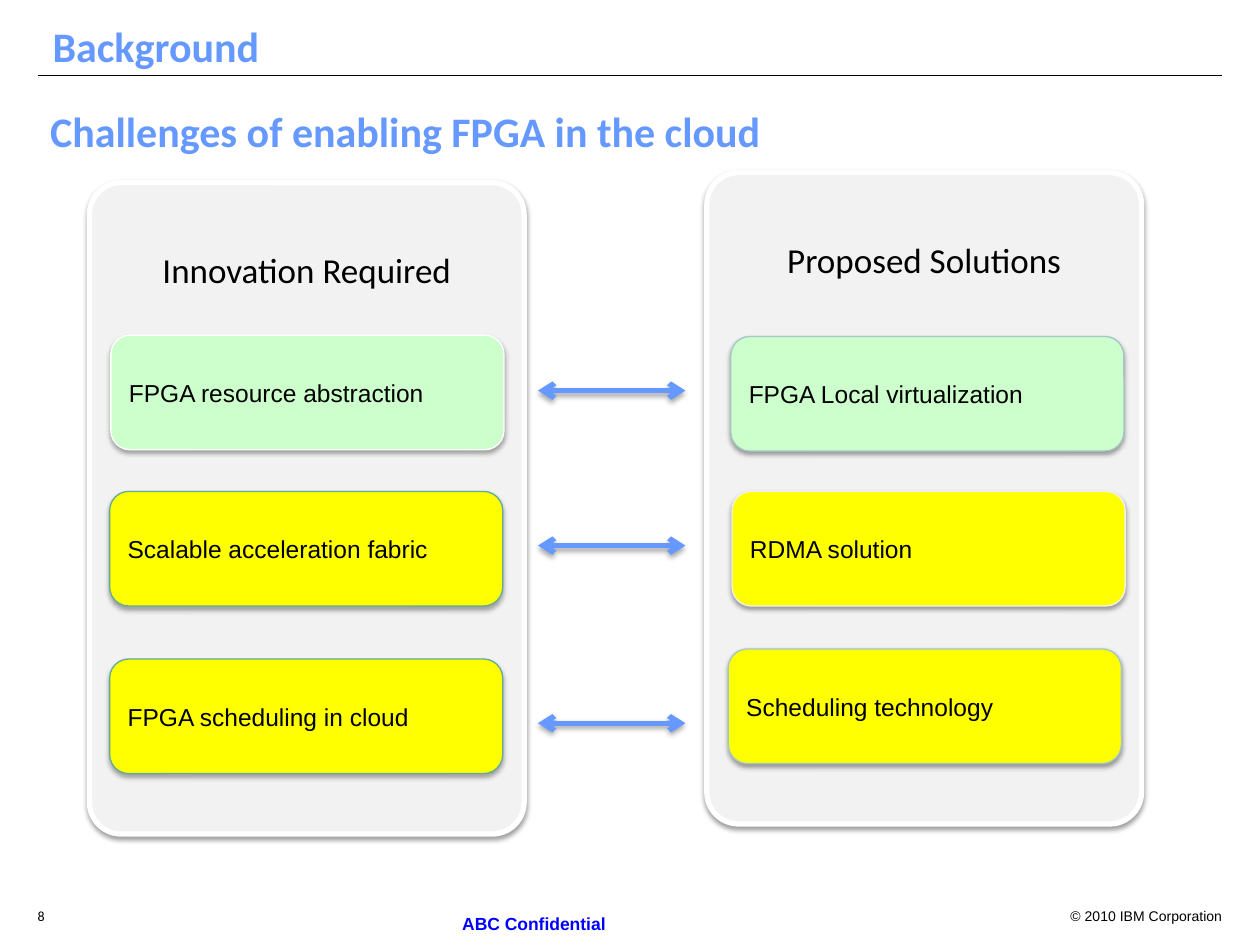
"""Build a slide pairing required innovations with proposed solutions."""
from dataclasses import dataclass

from lxml import etree
from pptx import Presentation
from pptx import util as u
from pptx.dml.color import RGBColor
from pptx.enum import shapes, text
from pptx.oxml.ns import qn


@dataclass(frozen=True)
class Theme:
    """Colours, fonts and type sizes of the slide."""
    accent: str = "6699FF"
    ink: str = "000000"
    notice: str = "0000FF"
    panel: str = "F2F2F2"
    white: str = "FFFFFF"
    green: str = "CCFFCC"
    yellow: str = "FFFF00"
    teal: str = "62AB94"
    pale_teal: str = "A5C6C6"
    heading_font: str = "Calibri"
    body_font: str = "Arial"
    title_size: float = 24
    panel_size: float = 20
    body_size: float = 14
    notice_size: float = 10
    footer_size: float = 8


THEME = Theme()
COLUMNS, ROWS = 100, 75
CELL = u.Inches(0.1)
CARD_WIDTH, CARD_HEIGHT = 31.2, 9.1
PANEL_WIDTH, PANEL_HEIGHT = 34.5, 51.7
SOFT_SHADOW = (38, 1.6)
DEEP_SHADOW = (35, 1.8)


def cells(*counts):
    """Turn grid counts into lengths."""
    return [round(count * CELL) for count in counts]


def colour(value):
    """Turn a hex string into a colour."""
    return RGBColor.from_string(value)


def write(frame, words, size, font, ink, bold=False, align=text.PP_ALIGN.LEFT, spacing=None):
    """Put one styled run into the first paragraph of a frame."""
    paragraph = frame.paragraphs[0]
    paragraph.alignment = align
    if spacing:
        paragraph.line_spacing = spacing
    run = paragraph.add_run()
    run.text = words
    run.font.size = u.Pt(size)
    run.font.name = font
    run.font.bold = bold
    run.font.color.rgb = colour(ink)


def add_label(slide, box, words, size, font, ink=THEME.ink, **style):
    """Add a wrapping text box."""
    frame = slide.shapes.add_textbox(*cells(*box)).text_frame
    frame.word_wrap = True
    write(frame, words, size, font, ink, **style)


def add_shadow(properties, opacity, distance):
    """Give shape properties a shadow that falls straight down."""
    effects = properties.find(qn("a:effectLst"))
    if effects is None:
        effects = etree.SubElement(properties, qn("a:effectLst"))
    shadow = etree.SubElement(
        effects, qn("a:outerShdw"), blurRad=str(u.Pt(3.1)), dist=str(u.Pt(distance)),
        dir="5400000", rotWithShape="0")
    ink = etree.SubElement(shadow, qn("a:srgbClr"), val=THEME.ink)
    etree.SubElement(ink, qn("a:alpha"), val=str(opacity * 1000))


def add_rounded(slide, box, fill, outline, width, shadow):
    """Add a filled, outlined and shadowed rounded rectangle."""
    shape = slide.shapes.add_shape(shapes.MSO_SHAPE.ROUNDED_RECTANGLE, *cells(*box))
    shape.fill.solid()
    shape.fill.fore_color.rgb = colour(fill)
    shape.line.color.rgb = colour(outline)
    shape.line.width = u.Pt(width)
    shape.shadow.inherit = False
    add_shadow(shape._element.spPr, *shadow)
    shape.text_frame.word_wrap = True
    return shape


def add_panel(slide, left, top, heading):
    """Add a tall panel with its heading near the top."""
    box = (left, top, PANEL_WIDTH, PANEL_HEIGHT)
    panel = add_rounded(slide, box, THEME.panel, THEME.white, 3, SOFT_SHADOW)
    panel.adjustments[0] = 0.073
    frame = panel.text_frame
    frame.vertical_anchor = text.MSO_ANCHOR.TOP
    frame.margin_top, = cells(4.5)
    write(frame, heading, THEME.panel_size, THEME.heading_font, THEME.ink,
          align=text.PP_ALIGN.CENTER)


def add_card(slide, left, top, words, fill, outline, shadow):
    """Add a card holding one item."""
    box = (left, top, CARD_WIDTH, CARD_HEIGHT)
    frame = add_rounded(slide, box, fill, outline, 0.75, shadow).text_frame
    frame.vertical_anchor = text.MSO_ANCHOR.MIDDLE
    write(frame, words, THEME.body_size, THEME.body_font, THEME.ink)


def add_line(slide, start, end, ink, width):
    """Add a straight line and return its connector."""
    connector = slide.shapes.add_connector(
        shapes.MSO_CONNECTOR.STRAIGHT, *cells(*start, *end))
    connector.line.color.rgb = colour(ink)
    connector.line.width = u.Pt(width)
    etree.SubElement(connector._element.spPr, qn("a:effectLst"))
    return connector


def add_double_arrow(slide, left, right, row):
    """Add a shadowed horizontal arrow with a head at both ends."""
    connector = add_line(slide, (left, row), (right, row), THEME.accent, 3)
    properties = connector._element.spPr
    for end in ("a:headEnd", "a:tailEnd"):
        etree.SubElement(properties.find(qn("a:ln")), qn(end), type="arrow")
    add_shadow(properties, *DEEP_SHADOW)


def add_frame(slide):
    """Add the titles, the rule and the footer."""
    add_line(slide, (3, 6), (COLUMNS - 3, 6), THEME.ink, 0.75)
    for left, top, words in ((3.2, 1.6, "Background"),
                             (3, 8.3, "Challenges of enabling FPGA in the cloud")):
        add_label(slide, (left, top, 95, 5), words, THEME.title_size, THEME.heading_font,
                  THEME.accent, bold=True, spacing=0.9)
    add_label(slide, (2, ROWS - 3.5, 4, 2), "8", THEME.footer_size, THEME.heading_font)
    add_label(slide, (35.7, ROWS - 3, 33.2, 2.7), "ABC Confidential", THEME.notice_size,
              THEME.body_font, THEME.notice, bold=True)
    add_label(slide, (83, ROWS - 3.5, 15, 2), "© 2010 IBM Corporation", THEME.footer_size,
              THEME.body_font, align=text.PP_ALIGN.RIGHT)


def main():
    """Build and save the slide."""
    presentation = Presentation()
    presentation.slide_width, presentation.slide_height = cells(COLUMNS, ROWS)
    slide = presentation.slides.add_slide(presentation.slide_layouts[6])
    add_frame(slide)

    add_panel(slide, 7.1, 14.5, "Innovation Required")
    add_panel(slide, 56.1, 13.7, "Proposed Solutions")
    needs = (
        (8.8, 26.6, "FPGA resource abstraction", THEME.green, THEME.white),
        (8.7, 39, "Scalable acceleration fabric", THEME.yellow, THEME.teal),
        (8.7, 52.3, "FPGA scheduling in cloud", THEME.yellow, THEME.teal),
    )
    solutions = (
        (58, 26.7, "FPGA Local virtualization", THEME.green, THEME.pale_teal),
        (58.1, 39, "RDMA solution", THEME.yellow, THEME.panel),
        (57.8, 51.5, "Scheduling technology", THEME.yellow, THEME.pale_teal),
    )
    for cards, shadow in ((needs, DEEP_SHADOW), (solutions, SOFT_SHADOW)):
        for card in cards:
            add_card(slide, *card, shadow)
    for row in (31, 43.3, 57.4):
        add_double_arrow(slide, 42.7, 54.4, row)
    presentation.save("out.pptx")


if __name__ == "__main__":
    main()
